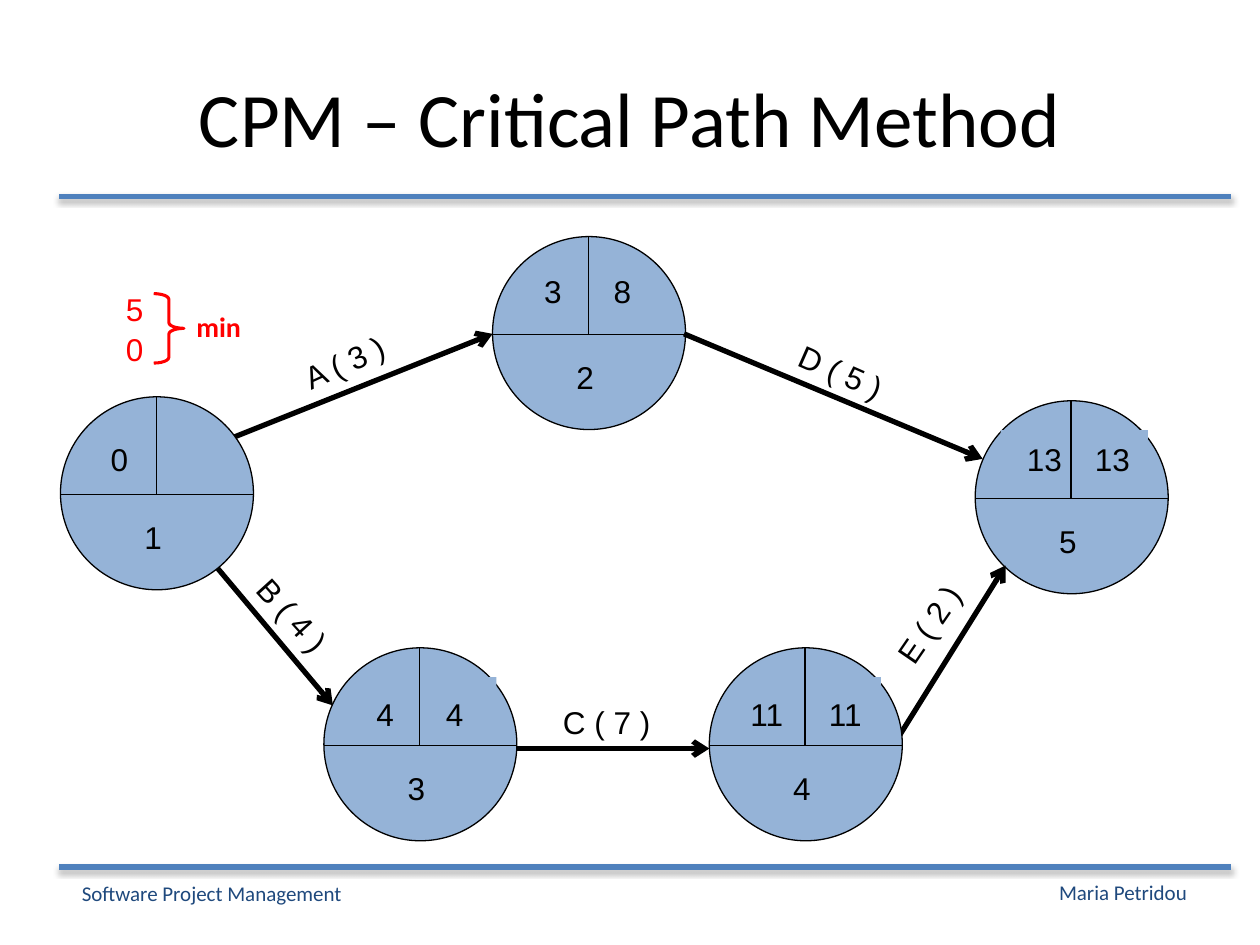
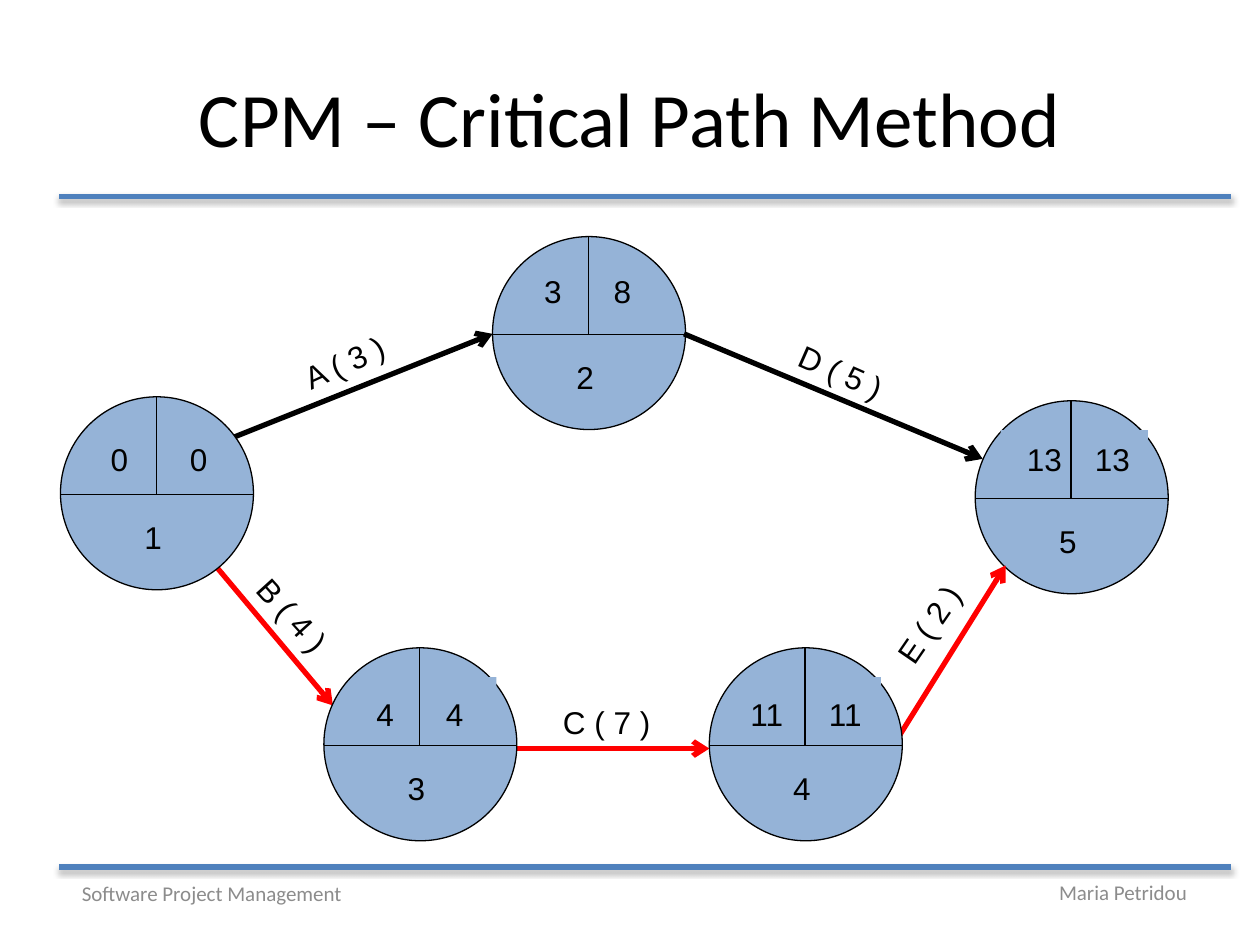
"""Build two slides that show the critical path method as a network of events."""
from typing import Any, NamedTuple

from lxml import etree
from pptx import Presentation
from pptx.dml import color
from pptx.enum import shapes, text
from pptx.oxml import ns
from pptx import util as u

BLACK, RED, RULE, DISC = "000000", "FF0000", "4F81BD", "95B3D7"
NAVY, GREY = "1F497D", "8C8C8C"
LEFT, CENTER, RIGHT = text.PP_ALIGN.LEFT, text.PP_ALIGN.CENTER, text.PP_ALIGN.RIGHT
DIAMETER, LINE_HEIGHT = 3.89, 1.02


class Style(NamedTuple):
    """Look of one text box."""
    size: float = 18
    font: str = "Arial"
    hex_color: str = BLACK
    bold: bool = False
    align: Any = LEFT
    middle: bool = False
    wrap: bool = True


class Value(NamedTuple):
    """Time written in the upper half of an event."""
    x: float
    width: float
    label: str


class Patch(NamedTuple):
    """Plain field behind a time."""
    x: float
    width: float


class Event(NamedTuple):
    """Circle with a number, an earliest and a latest time."""
    number: str
    x: float
    y: float
    value_y: float
    values: tuple[Value, ...]
    patches: tuple[Patch, ...] = ()


class Activity(NamedTuple):
    """Arrow between two events and its turned label."""
    label: str
    x1: float
    y1: float
    x2: float
    y2: float
    label_x: float
    label_y: float
    label_width: float
    rotation: float
    critical: bool = False


START = Event("1", 1.22, 8.0, 8.74, (Value(1.98, 0.81, "0"),))
START_LATEST = Value(3.58, 0.99, "0")
UPPER_EVENTS = (
    Event("2", 9.93, 4.77, 5.36, (Value(10.72, 0.81, "3"), Value(12.12, 0.99, "8"))),
    Event("5", 19.66, 8.08, 8.74, (Value(20.45, 1.4, "13"), Value(21.82, 1.4, "13")),
          (Patch(20.17, 1.42), Patch(21.74, 1.4))),
)
LOWER_EVENTS = (
    Event("3", 6.53, 13.06, 13.89, (Value(7.34, 0.81, "4"), Value(8.74, 0.99, "4")),
          (Patch(7.29, 0.81), Patch(8.61, 1.4))),
    Event("4", 14.3, 13.06, 13.89, (Value(14.88, 1.23, "11"), Value(16.46, 1.23, "11")),
          (Patch(14.91, 1.57), Patch(16.36, 1.4))),
)
ACTIVITIES = (
    Activity("D ( 5 )", 13.79, 6.73, 19.81, 9.25, 15.82, 6.99, 2.29, 23.9),
    Activity("C ( 7 )", 10.11, 15.09, 14.3, 15.09, 11.1, 14.05, 2.29, 0, True),
    Activity("E ( 2 )", 18.03, 14.99, 20.27, 11.4, 17.6, 12.07, 2.24, 304.5, True),
    Activity("B ( 4 )", 4.34, 11.4, 6.71, 14.22, 4.78, 11.89, 2.24, 47.8, True),
    Activity("A ( 3 )", 4.72, 8.81, 9.93, 6.73, 5.84, 6.78, 2.24, 335.4),
)


def rgb(value: str) -> color.RGBColor:
    """Turn a hex string into a colour."""
    return color.RGBColor.from_string(value)


def add_text(parent: Any, label: str, x: float, y: float, w: float, h: float,
             style: Style = Style()) -> Any:
    """Add a text box with one run."""
    sp = parent.add_textbox(u.Cm(x), u.Cm(y), u.Cm(w), u.Cm(h))
    tf = sp.text_frame
    tf.word_wrap = style.wrap
    tf.vertical_anchor = text.MSO_ANCHOR.MIDDLE if style.middle else text.MSO_ANCHOR.TOP
    p = tf.paragraphs[0]
    p.alignment = style.align
    r = p.add_run()
    r.text = label
    r.font.size, r.font.name, r.font.bold = u.Pt(style.size), style.font, style.bold
    r.font.color.rgb = rgb(style.hex_color)
    return sp


def add_line(parent: Any, x1: float, y1: float, x2: float, y2: float,
             hex_color: str = BLACK, width: float = 0.75,
             arrow: bool = False, shadow: bool = False) -> None:
    """Add a straight line, with an arrowhead or a soft shadow on request."""
    cxn = parent.add_connector(shapes.MSO_CONNECTOR.STRAIGHT,
                               u.Cm(x1), u.Cm(y1), u.Cm(x2), u.Cm(y2))
    cxn.line.color.rgb = rgb(hex_color)
    cxn.line.width = u.Pt(width)
    sp_pr = cxn._element.spPr
    if arrow:
        etree.SubElement(sp_pr.find(ns.qn("a:ln")), ns.qn("a:tailEnd"), type="arrow")
    effects = etree.SubElement(sp_pr, ns.qn("a:effectLst"))
    if shadow:
        outer = etree.SubElement(effects, ns.qn("a:outerShdw"), blurRad="40000",
                                 dist="23000", dir="5400000", rotWithShape="0")
        shade = etree.SubElement(outer, ns.qn("a:srgbClr"), val=BLACK)
        etree.SubElement(shade, ns.qn("a:alpha"), val="35000")


def add_shape(parent: Any, kind: Any, x: float, y: float, w: float, h: float,
              fill: str | None = None, line: str | None = None,
              width: float = 0.75) -> Any:
    """Add a preset shape without a shadow."""
    sp = parent.add_shape(kind, u.Cm(x), u.Cm(y), u.Cm(w), u.Cm(h))
    sp.shadow.inherit = False
    if fill:
        sp.fill.solid()
        sp.fill.fore_color.rgb = rgb(fill)
    else:
        sp.fill.background()
    if line:
        sp.line.color.rgb = rgb(line)
        sp.line.width = u.Pt(width)
    else:
        sp.line.fill.background()
    return sp


def add_event(s: Any, event: Event) -> None:
    """Draw an event as a group and write its times."""
    group = s.shapes.add_group_shape().shapes
    x, y = event.x, event.y
    waist, middle = y + 1.97, x + 1.93
    add_shape(group, shapes.MSO_SHAPE.OVAL, x, y, DIAMETER, DIAMETER, DISC, BLACK)
    add_line(group, x, waist, x + DIAMETER, waist)
    for patch in event.patches:
        add_shape(group, shapes.MSO_SHAPE.RECTANGLE, patch.x, y + 0.59,
                  patch.width, LINE_HEIGHT, DISC)
    add_text(group, event.number, x + 1.44, y + 2.32, 0.86, LINE_HEIGHT, Style(wrap=False))
    add_line(group, middle, y, middle, waist)
    for value in event.values:
        add_text(s.shapes, value.label, value.x, event.value_y, value.width, LINE_HEIGHT)


def add_activity(s: Any, activity: Activity, critical_color: str) -> None:
    """Draw the arrow of an activity and its label."""
    add_line(s.shapes, activity.x1, activity.y1, activity.x2, activity.y2,
             critical_color if activity.critical else BLACK, 3, arrow=True)
    sp = add_text(s.shapes, activity.label, activity.label_x, activity.label_y,
                  activity.label_width, LINE_HEIGHT, Style(wrap=False))
    sp.rotation = activity.rotation


def add_frame(s: Any, footer_color: str) -> None:
    """Draw the title, the two rules and the footers."""
    for y in (3.96, 17.48):
        add_line(s.shapes, 1.19, y, 24.82, y, RULE, 3, shadow=True)
    add_text(s.shapes, "CPM – Critical Path Method", 1.27, 0.76, 22.86, 3.18,
             Style(44, "Calibri", align=CENTER, middle=True))
    footer = Style(12, "Calibri", footer_color, middle=True)
    add_text(s.shapes, "Software Project Management", 1.4, 17.48, 6.76, 1.07, footer)
    add_text(s.shapes, "Maria Petridou", 15.29, 17.48, 8.89, 1.02,
             footer._replace(align=RIGHT))


def add_minimum(s: Any) -> None:
    """Write the candidates for the latest time of the first event."""
    for label, y in (("5", 5.72), ("0", 6.53)):
        add_text(s.shapes, label, 2.29, y, 0.99, LINE_HEIGHT, Style(hex_color=RED))
    brace = add_shape(s.shapes, shapes.MSO_SHAPE.RIGHT_BRACE, 3.1, 5.92, 0.61, 1.4,
                      line=RED, width=1.75)
    brace.adjustments[0] = 0.19
    add_text(s.shapes, "min", 3.71, 6.12, 1.6, 0.94, Style(16, "Calibri", RED, True))


def add_network(prs: Any, start: Event, footer_color: str, critical_color: str) -> Any:
    """Add a slide with the whole network."""
    s = prs.slides.add_slide(prs.slide_layouts[6])
    add_frame(s, footer_color)
    for event in UPPER_EVENTS:
        add_event(s, event)
    for activity in ACTIVITIES:
        add_activity(s, activity, critical_color)
    for event in (start, *LOWER_EVENTS):
        add_event(s, event)
    return s


def main() -> None:
    """Build and save both slides."""
    prs = Presentation()
    prs.slide_width, prs.slide_height = u.Cm(25.4), u.Cm(19.05)
    add_minimum(add_network(prs, START, NAVY, BLACK))
    solved = START._replace(values=(*START.values, START_LATEST))
    add_network(prs, solved, GREY, RED)
    prs.save("out.pptx")


if __name__ == "__main__":
    main()
